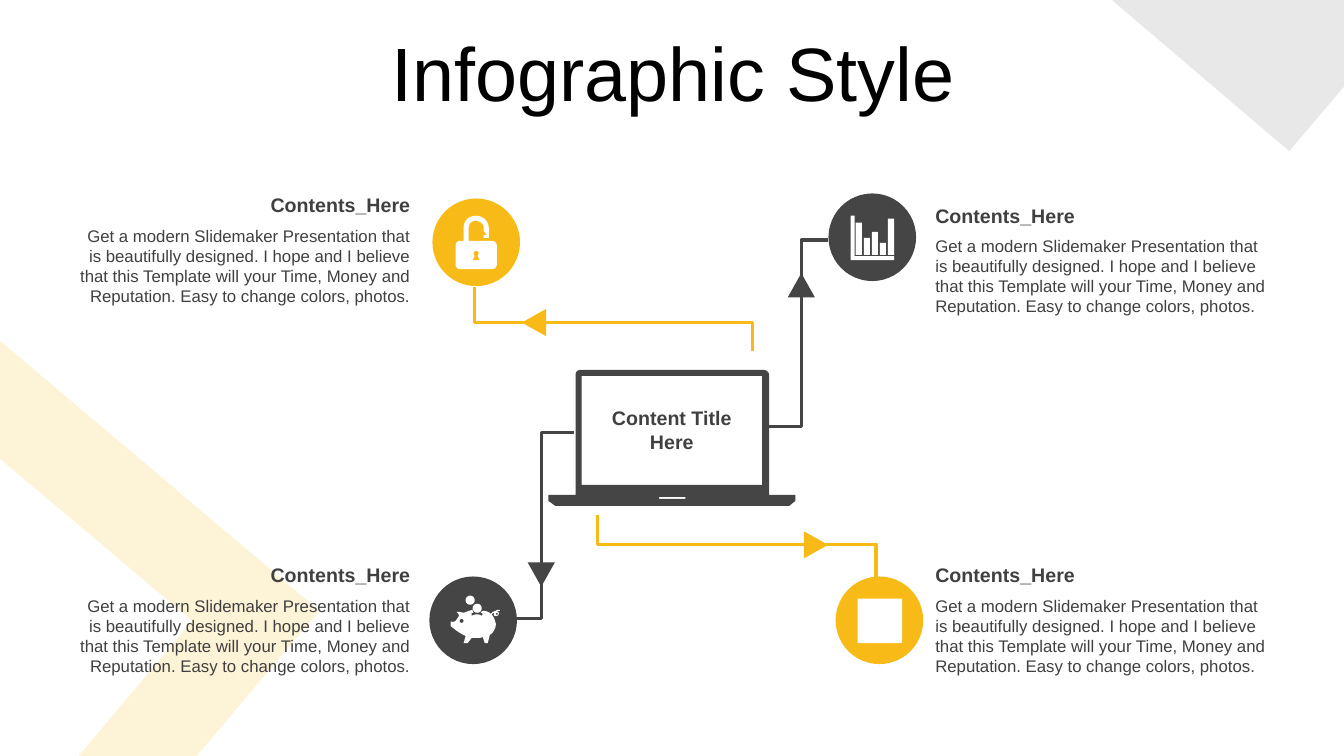
"""Build the infographic slide with a laptop linked to four topics."""
from math import cos, pi, sin

from lxml.etree import SubElement
from pptx import Presentation
from pptx.dml.color import RGBColor
from pptx.enum.shapes import MSO_SHAPE
from pptx.enum.text import MSO_ANCHOR, MSO_AUTO_SIZE, PP_ALIGN
from pptx.oxml.ns import qn
from pptx.util import Pt

LEFT, CENTER, RIGHT = PP_ALIGN.LEFT, PP_ALIGN.CENTER, PP_ALIGN.RIGHT
TOP, MIDDLE = MSO_ANCHOR.TOP, MSO_ANCHOR.MIDDLE
FIT = MSO_AUTO_SIZE.SHAPE_TO_FIT_TEXT
OVAL, TRIANGLE, SQUARE = MSO_SHAPE.OVAL, MSO_SHAPE.ISOSCELES_TRIANGLE, MSO_SHAPE.RECTANGLE

FONT = "Arial"
YELLOW, DARK, WHITE, GREY, BLACK = "F8BA16", "454545", "FFFFFF", "404040", "000000"
ICON_UNIT = 0.72
DISC = 62.6
ARROW_WIDTH, ARROW_HEIGHT = 19.4, 17.3
TEXT_WIDTH, BODY_DROP = 252, 23

TITLE = "Infographic Style"
LAPTOP_TITLE = ["Content Title", "Here"]
HEADING = "Contents_Here"
BODY = ("Get a modern Slidemaker Presentation that is beautifully designed. "
        "I hope and I believe that this Template will your Time, Money and "
        "Reputation. Easy to change colors, photos.")

TOPICS = [
    (661, 141.8, LEFT), (661, 398.9, LEFT),
    (48.2, 398.9, RIGHT), (48.2, 134.6, RIGHT),
]
DISCS = [(591.8, 138.2, DARK), (596.9, 411.8, YELLOW),
         (306.7, 411.8, DARK), (308.9, 141.8, YELLOW)]
BACKDROPS = [
    (YELLOW, 17, [(0, 243.4), (228.2, 436.3), (140.4, 540), (56.2, 540),
                  (137.5, 443.5), (0, 327.6)]),
    (DARK, 12, [(794.2, 0), (960, 0), (960, 61.9), (920.9, 108)]),
]
ROUTES = [
    (DARK, [(409.7, 308.9), (386.6, 308.9), (386.6, 442.1), (367.2, 442.1)],
     (386.6, 410.4), 180),
    (DARK, [(549.4, 304.6), (572.4, 304.6), (572.4, 171.4), (591.8, 171.4)],
     (572.4, 203.8), 0),
    (YELLOW, [(427, 367.9), (427, 388.8), (625.7, 388.8), (625.7, 413.3)],
     (582.8, 389.2), 90),
    (YELLOW, [(537.8, 250.6), (537.8, 230.4), (339.1, 230.4), (339.1, 205.2)],
     (381.4, 230.4), 270),
]


def ring(center_x, center_y, radius, count=24):
    return [(center_x + radius * cos(2 * pi * step / count),
             center_y + radius * sin(2 * pi * step / count)) for step in range(count)]


def block(left, top, right, bottom):
    return [(left, top), (right, top), (right, bottom), (left, bottom)]


LAPTOP = [
    block(110, 126, 136, 128),
    block(33, 6, 212, 114),
    [(32, 0), (213, 0), (216, 0, 219, 2, 219, 5), (219, 124), (245, 124), (245, 130),
     (239, 135), (7, 135), (0, 130), (0, 124), (27, 124), (27, 5), (27, 2, 29, 0, 32, 0)],
]
PADLOCK = [
    [(20, 35), (19, 35, 18, 36, 18, 37), (18, 38, 18, 39, 19, 40), (17, 44), (24, 44),
     (22, 40), (22, 39, 23, 38, 23, 37), (23, 36, 22, 35, 20, 35)],
    [(20, 0), (27, 0, 33, 5, 33, 12), (33, 22), (28, 22), (28, 19), (31, 19),
     (31, 18, 29, 16, 28, 16), (28, 12), (28, 8, 24, 5, 20, 5), (16, 5, 13, 8, 13, 12),
     (13, 25), (36, 25), (39, 25, 41, 27, 41, 30), (41, 48), (41, 51, 39, 53, 36, 53),
     (4, 53), (2, 53, 0, 51, 0, 48), (0, 30), (0, 27, 2, 25, 4, 25), (8, 25), (8, 12),
     (8, 5, 13, 0, 20, 0)],
]
PIGGY_BANK = [
    ring(11, 25, 2), ring(46, 18, 1), ring(26.5, 12.5, 4.5), ring(19.5, 4.5, 4.5),
    [(49, 14), (49, 15), (48, 15, 47, 15, 46, 16), (47, 16, 47, 16, 48, 17),
     (48, 19, 47, 20, 46, 20), (45, 21, 43, 20, 43, 19), (43, 18, 43, 17, 43, 17),
     (42, 17), (42, 18, 41, 18, 41, 19), (43, 21, 44, 24, 45, 28),
     (45, 33, 42, 37, 39, 39), (37, 47), (34, 47), (32, 41), (30, 42, 28, 42, 25, 42),
     (21, 42), (17, 47), (13, 47), (15, 40), (11, 38, 9, 37, 5, 34), (0, 30), (0, 27),
     (0, 25, 1, 26, 3, 26), (5, 25), (6, 24, 7, 22, 8, 21), (9, 19, 8, 18, 6, 16),
     (11, 16, 12, 17, 13, 17), (16, 16, 18, 15, 22, 14), (22, 15, 22, 16, 23, 17),
     (21, 17), (21, 20), (25, 18, 28, 18, 31, 20), (32, 18), (31, 17, 31, 17, 30, 17),
     (31, 16, 31, 15, 32, 15), (35, 15, 38, 16, 40, 18), (41, 17, 41, 17, 42, 16),
     (43, 16, 44, 15, 45, 15), (45, 15, 46, 14, 47, 14), (49, 14)],
]
BAR_TOPS = [7, 22, 16, 27, 3]
BAR_CHART = [block(5 + 8 * index, top, 11 + 8 * index, 39)
             for index, top in enumerate(BAR_TOPS)]
BAR_CHART.append([(0, 0), (4, 0), (4, 40), (43, 40), (43, 44), (0, 44)])
ICONS = [
    (LAPTOP, 391.7, 264.2, DARK), (PADLOCK, 325.4, 154.1, WHITE),
    (PIGGY_BANK, 321.8, 425.5, WHITE), (BAR_CHART, 607.7, 154.1, WHITE),
]


def color(value):
    return RGBColor.from_string(value)


def paint(shape, fill=None, line=None, opacity=100):
    shape.shadow.inherit = False
    if fill:
        shape.fill.solid()
        shape.fill.fore_color.rgb = color(fill)
        if opacity < 100:
            tint = shape._element.spPr.find(".//" + qn("a:srgbClr"))
            SubElement(tint, qn("a:alpha"), val=str(opacity * 1000))
    else:
        shape.fill.background()
    if line:
        shape.line.color.rgb = color(line)
        shape.line.width = Pt(2.25)
    else:
        shape.line.fill.background()


def flatten(contour, steps=6):
    points = []
    for entry in contour:
        if len(entry) == 2:
            points.append(entry)
            continue
        controls = [points[-1], entry[:2], entry[2:4], entry[4:]]
        for step in range(1, steps + 1):
            t = step / steps
            weights = [(1 - t) ** 3, 3 * t * (1 - t) ** 2, 3 * t * t * (1 - t), t ** 3]
            points.append(tuple(sum(weight * control[axis] for weight, control
                                    in zip(weights, controls)) for axis in (0, 1)))
    return points


def add_outline(page, contours, left=0, top=0, unit=1, close=True, **style):
    builder = None
    for contour in contours:
        points = [(Pt(left + x * unit), Pt(top + y * unit)) for x, y in flatten(contour)]
        if builder is None:
            builder = page.shapes.build_freeform(*points[0])
        else:
            builder.move_to(*points[0])
        builder.add_line_segments(points[1:], close=close)
    paint(builder.convert_to_shape(), **style)


def add_preset(page, kind, left, top, width, height, fill, rotation=0):
    shape = page.shapes.add_shape(kind, Pt(left), Pt(top), Pt(width), Pt(height))
    shape.rotation = rotation
    paint(shape, fill=fill)


def add_text(page, lines, left, top, width, height, size=12, ink=GREY, bold=False,
             align=LEFT, anchor=TOP, spacing=1.0, fit=FIT):
    box = page.shapes.add_textbox(Pt(left), Pt(top), Pt(width), Pt(height))
    frame = box.text_frame
    frame.word_wrap = True
    frame.auto_size = fit
    frame.vertical_anchor = anchor
    for index, line in enumerate(lines):
        para = frame.add_paragraph() if index else frame.paragraphs[0]
        para.alignment = align
        para.line_spacing = spacing
        span = para.add_run()
        span.text = line
        span.font.name, span.font.size, span.font.bold = FONT, Pt(size), bold
        span.font.color.rgb = color(ink)


def main():
    deck = Presentation()
    deck.slide_width, deck.slide_height = Pt(960), Pt(540)
    page = deck.slides.add_slide(deck.slide_layouts[6])
    for fill, opacity, corners in BACKDROPS:
        add_outline(page, [corners], fill=fill, opacity=opacity)
    add_text(page, [TITLE], 25.2, 26.6, 911.5, 56.9, size=54, ink=BLACK, align=CENTER,
             anchor=MIDDLE, spacing=0.9, fit=MSO_AUTO_SIZE.NONE)
    for ink, corners, (center_x, center_y), rotation in ROUTES:
        add_outline(page, [corners], close=False, line=ink)
        add_preset(page, TRIANGLE, center_x - ARROW_WIDTH / 2, center_y - ARROW_HEIGHT / 2,
                   ARROW_WIDTH, ARROW_HEIGHT, ink, rotation)
    for left, top, fill in DISCS:
        add_preset(page, OVAL, left, top, DISC, DISC, fill)
    for contours, left, top, fill in ICONS:
        add_outline(page, contours, left, top, ICON_UNIT, fill=fill)
    add_preset(page, SQUARE, 612.7, 427.7, 31.7, 31.7, WHITE)
    add_text(page, LAPTOP_TITLE, 428.4, 286.6, 103, 41, size=14, bold=True, align=CENTER)
    for left, top, align in TOPICS:
        add_text(page, [BODY], left, top + BODY_DROP, TEXT_WIDTH, 65.5, align=align)
        add_text(page, [HEADING], left, top, TEXT_WIDTH, 24.5, size=14, bold=True, align=align)
    deck.save("out.pptx")


if __name__ == "__main__":
    main()
